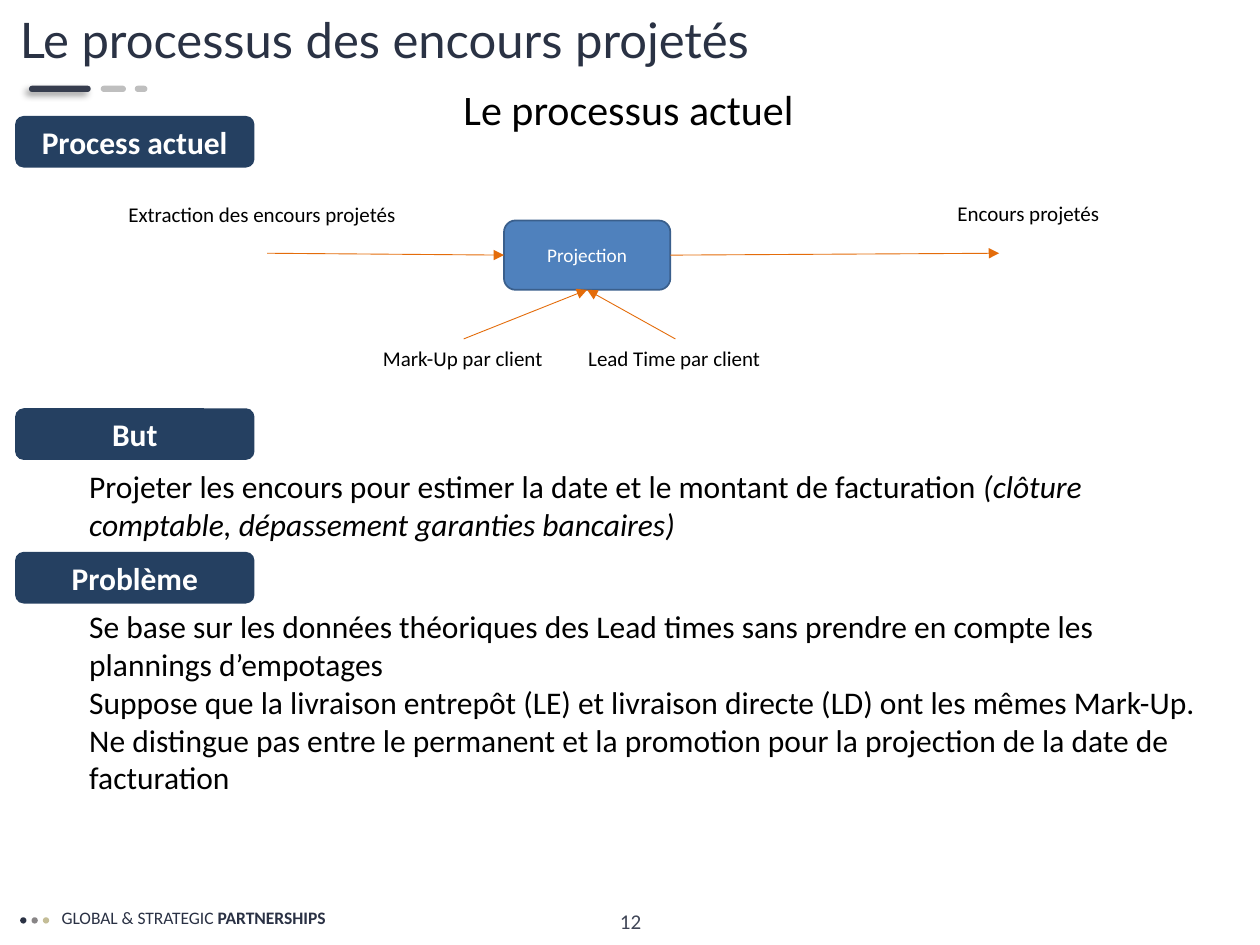
from dataclasses import dataclass

from lxml.etree import SubElement
from pptx import Presentation
from pptx.dml.color import RGBColor
from pptx.enum.shapes import MSO_CONNECTOR as Connector, MSO_SHAPE as Shape
from pptx.enum.text import MSO_ANCHOR as Anchor, PP_ALIGN as Align
from pptx.oxml.ns import qn
from pptx.util import Inches, Pt

TOP, LEFT, BOTTOM, RIGHT = range(4)


@dataclass(frozen=True)
class Theme:
    body_font: str = "Calibri"
    title_font: str = "Lato"
    title: str = "2A3244"
    footer: str = "2A3144"
    page: str = "404657"
    text: str = "000000"
    white: str = "FFFFFF"
    accent: str = "363D4E"
    pale: str = "BFBFBF"
    dot_grey: str = "888586"
    dot_sand: str = "C4BD97"
    heading: str = "254061"
    step: str = "4F81BD"
    step_line: str = "3A5F8C"
    arrow: str = "E46C0A"
    title_size: int = 28
    subtitle_size: int = 24
    body_size: int = 18
    label_size: int = 12
    step_size: int = 11
    footer_size: int = 10


class SlideBuilder:
    def __init__(self, slide, theme):
        self.slide = slide
        self.theme = theme

    def add_runs(self, frame, paragraphs, size, color, font=None, align=Align.LEFT):
        """Each paragraph is a list of (text, style) runs; style is "", "b" or "i"."""
        for index, runs in enumerate(paragraphs):
            paragraph = frame.add_paragraph() if index else frame.paragraphs[0]
            paragraph.alignment = align
            for text, style in runs:
                run = paragraph.add_run()
                run.text = text
                run.font.name = font or self.theme.body_font
                run.font.size = Pt(size)
                run.font.color.rgb = RGBColor.from_string(color)
                if style == "b":
                    run.font.bold = True
                if style == "i":
                    run.font.italic = True

    def text(self, box, paragraphs, size, color=None, wrap=True,
             anchor=Anchor.TOP, **style):
        frame = self.slide.shapes.add_textbox(*map(Inches, box)).text_frame
        frame.word_wrap = wrap
        frame.vertical_anchor = anchor
        self.add_runs(frame, paragraphs, size, color or self.theme.text, **style)
        return frame

    def label(self, box, text, size=None):
        self.text(box, [[(text, "")]], size or self.theme.label_size, wrap=False)

    def shape(self, kind, box, fill, line=None, parent=None):
        shape = (parent or self.slide).shapes.add_shape(kind, *map(Inches, box))
        shape.shadow.inherit = False
        shape.fill.solid()
        shape.fill.fore_color.rgb = RGBColor.from_string(fill)
        if line:
            shape.line.color.rgb = RGBColor.from_string(line)
            shape.line.width = Pt(1)
        else:
            shape.line.fill.background()
        return shape

    def box(self, box, text, size, fill, line=None, style=""):
        shape = self.shape(Shape.ROUNDED_RECTANGLE, box, fill, line)
        shape.text_frame.word_wrap = True
        shape.text_frame.vertical_anchor = Anchor.MIDDLE
        self.add_runs(shape.text_frame, [[(text, style)]], size, self.theme.white,
                      align=Align.CENTER)
        return shape

    def drop_shadow(self, shape):
        effects = shape._element.spPr.find(qn("a:effectLst"))
        shadow = SubElement(effects, qn("a:outerShdw"), blurRad=str(Pt(4)),
                            dist=str(Pt(3)), dir=str(135 * 60000), rotWithShape="0")
        color = SubElement(shadow, qn("a:srgbClr"), val=self.theme.text)
        SubElement(color, qn("a:alpha"), val="40000")

    def arrow(self, start, end, begin=None, finish=None):
        """begin and finish are optional (shape, side) joints."""
        line = self.slide.shapes.add_connector(
            Connector.STRAIGHT, *map(Inches, start + end))
        if begin:
            line.begin_connect(*begin)
        if finish:
            line.end_connect(*finish)
        line.line.color.rgb = RGBColor.from_string(self.theme.arrow)
        line.line.width = Pt(0.5)
        properties = line._element.spPr
        SubElement(properties.find(qn("a:ln")), qn("a:tailEnd"), type="triangle")
        SubElement(properties, qn("a:effectLst"))


def main():
    deck = Presentation()
    deck.slide_width, deck.slide_height = Inches(10), Inches(7.5)
    theme = Theme()
    page = SlideBuilder(deck.slides.add_slide(deck.slide_layouts[6]), theme)

    # Footer and page number
    page.text((0.39, 7.15, 2.35, 0.27),
              [[("GLOBAL & STRATEGIC ", ""), ("PARTNERSHIPS", "b")]],
              theme.footer_size, theme.footer)
    for index, color in enumerate((theme.footer, theme.dot_grey, theme.dot_sand)):
        page.shape(Shape.OVAL, (0.16 + 0.09 * index, 7.28, 0.05, 0.05), color)
    page.text((3.88, 7.11, 2.25, 0.4), [[("12", "")]], theme.label_size,
              theme.page, anchor=Anchor.MIDDLE, align=Align.CENTER)

    # Dashes under the title
    dashes = page.slide.shapes.add_group_shape()
    for left, width, color in ((0.23, 0.49, theme.accent),
                               (0.8, 0.2, theme.pale),
                               (1.07, 0.1, theme.pale)):
        dash = page.shape(Shape.ROUNDED_RECTANGLE, (left, 0.68, width, 0.05),
                          color, parent=dashes)
        dash.adjustments[0] = 0.5
        if color == theme.accent:
            page.drop_shadow(dash)

    # Title and subtitle
    title = page.text((0.06, 0.08, 10.56, 0.6),
                      [[("Le processus des encours projetés", "")]],
                      theme.title_size, theme.title, font=theme.title_font)
    title.paragraphs[0].line_spacing = 0.9
    page.label((3.58, 0.61, 2.85, 0.5), "Le processus actuel", theme.subtitle_size)

    # Purpose and problem texts
    purpose = [[
        ("Projeter les encours pour estimer la date et le montant de facturation ", ""),
        ("(clôture comptable, dépassement garanties bancaires)", "i"),
    ]]
    problems = [
        [("Se base sur les données théoriques des Lead times sans prendre en "
          "compte les plannings d’empotages", "")],
        [("Suppose que la livraison entrepôt (LE) et livraison directe (LD) ont "
          "les mêmes Mark-Up.", "")],
        [("Ne distingue pas entre le permanent et la promotion pour la projection "
          "de la date de facturation", "")],
    ]
    for top, height, paragraphs in ((3.66, 0.71, purpose), (4.77, 1.62, problems)):
        page.text((0.61, top, 9.05, height), paragraphs, theme.body_size)

    # Section headings
    for top, heading in ((0.92, "Process actuel"), (3.24, "But"), (4.38, "Problème")):
        page.box((0.12, top, 1.9, 0.41), heading, theme.body_size,
                 theme.heading, style="b")

    # Process diagram
    projection = page.box((4, 1.75, 1.32, 0.55), "Projection", theme.step_size,
                          theme.step, theme.step_line)
    for left, top, width, label in (
            (0.92, 1.55, 2.35, "Extraction des encours projetés"),
            (2.94, 2.69, 1.49, "Mark-Up par client"),
            (4.57, 2.69, 1.58, "Lead Time par client"),
            (7.5, 1.54, 1.34, "Encours projetés")):
        page.label((left, top, width, 0.3), label)
    for source_x in (3.68, 5.36):
        page.arrow((source_x, 2.69), (4.67, 2.3), finish=(projection, BOTTOM))
    page.arrow((2.12, 2.01), (4, 2.02), finish=(projection, LEFT))
    page.arrow((5.33, 2.02), (7.93, 2.01), begin=(projection, RIGHT))

    deck.save("out.pptx")


if __name__ == "__main__":
    main()
